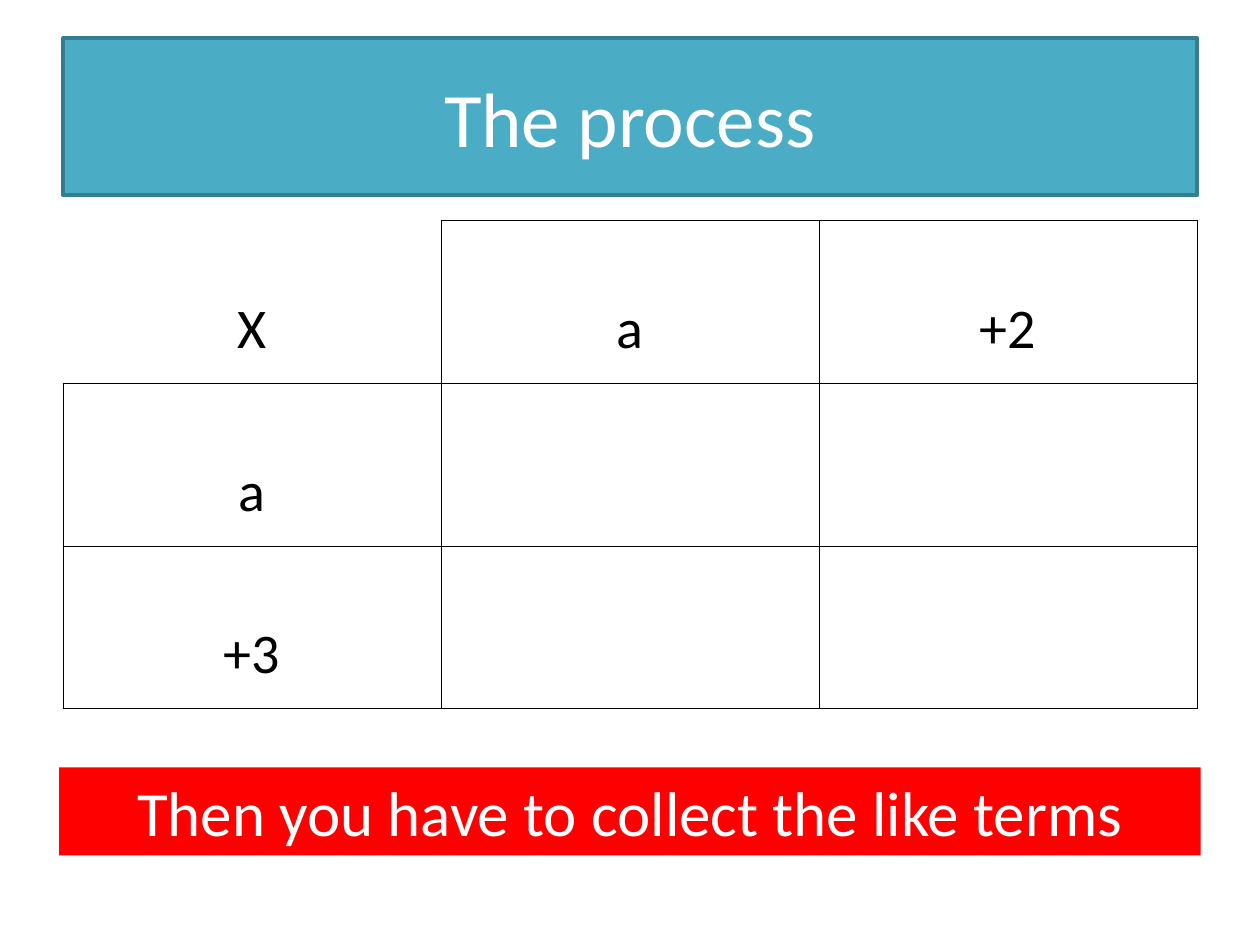
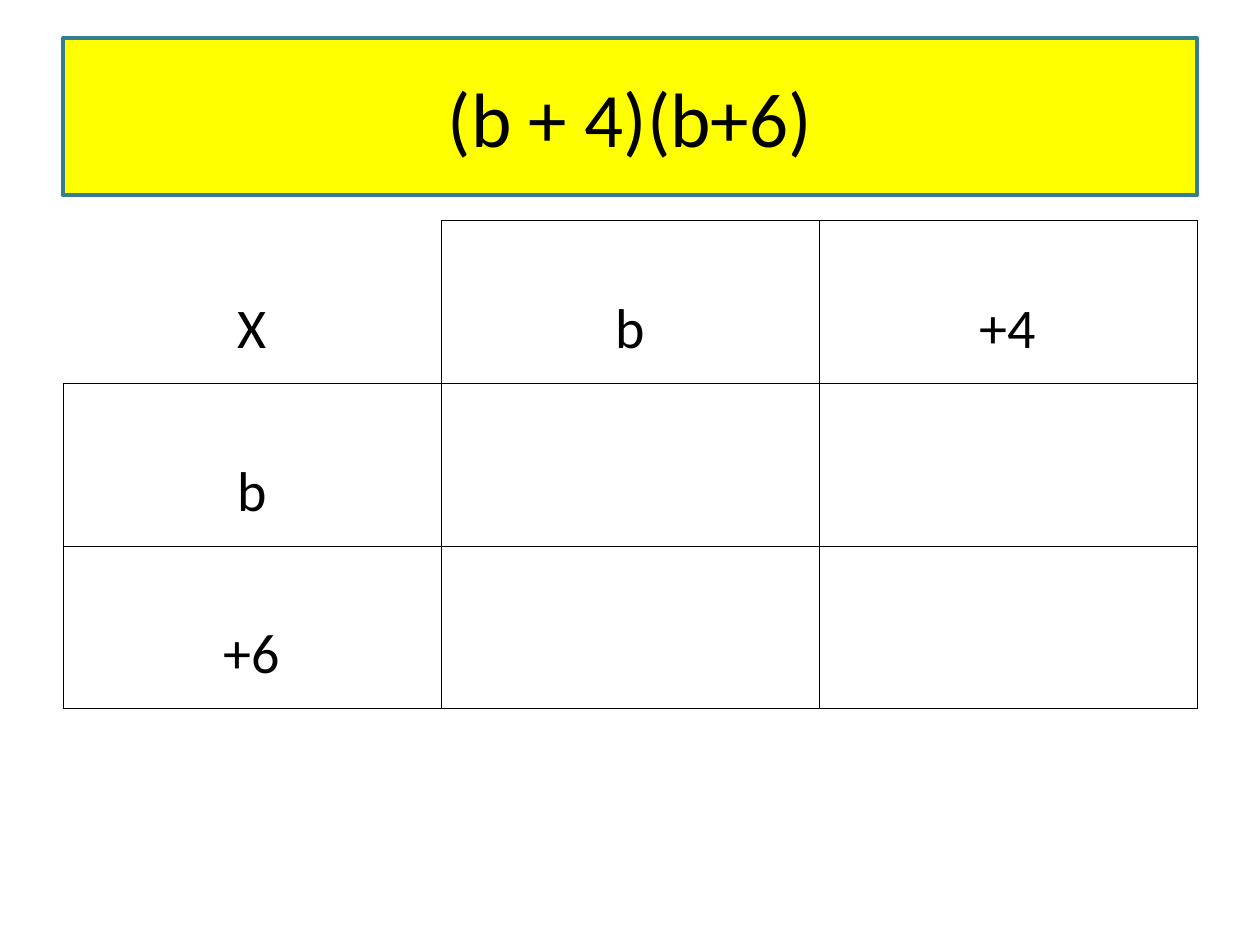
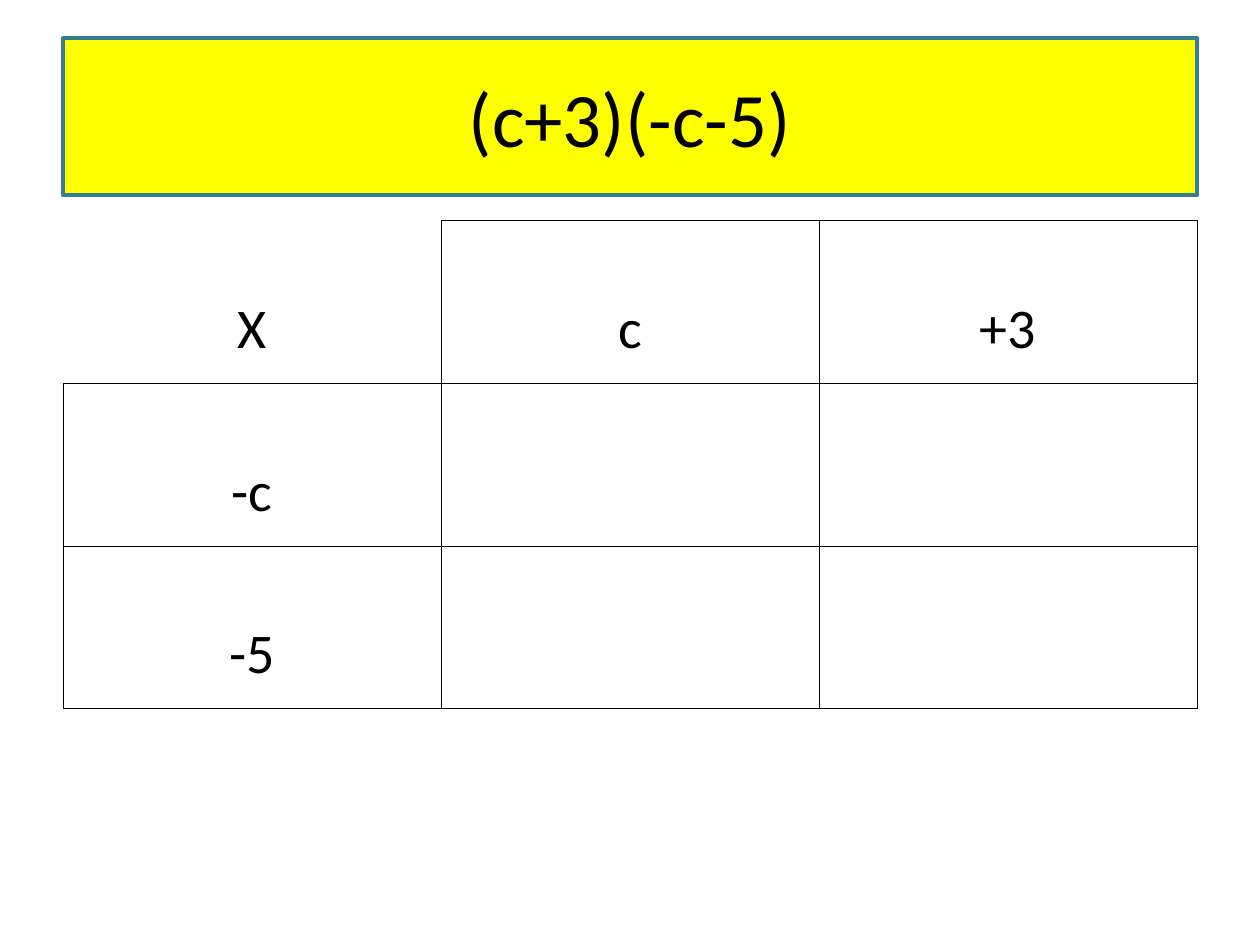
from pptx import Presentation
from pptx.dml.color import RGBColor
from pptx.enum.shapes import MSO_SHAPE
from pptx.enum.text import MSO_ANCHOR, PP_ALIGN
from pptx.oxml.ns import qn
from pptx.util import Pt
from lxml.etree import SubElement

COLORS = {
    "teal": "4BACC6",
    "teal_edge": "357D91",
    "yellow": "FFFF00",
    "red": "FF0000",
    "white": "FFFFFF",
    "black": "000000",
}
FONT = "Calibri"
TITLE_BOX = (36, 21.6, 648, 90)
GRID_BOX = (36, 126, 648, 279)
REMINDER_BOX = (33.84, 438.5, 652.32, 50.4)
GRID_SIZE = 3
RULE_WIDTH = 0.45

EXPANSIONS = [
    ("The process", "teal", "white", ["a", "+2"], ["a", "+3"],
     "Then you have to collect the like terms"),
    ("(b + 4)(b+6)", "yellow", "black", ["b", "+4"], ["b", "+6"], None),
    ("(c+3)(-c-5)", "yellow", "black", ["c", "+3"], ["-c", "-5"], None),
]


def rgb(name):
    return RGBColor.from_string(COLORS[name])


def write(text_frame, text, size, color):
    text_frame.text = text
    paragraph = text_frame.paragraphs[0]
    paragraph.alignment = PP_ALIGN.CENTER
    paragraph.font.size = Pt(size)
    for run in paragraph.runs:
        run.font.name = FONT
        run.font.size = Pt(size)
        run.font.color.rgb = rgb(color)


def add_band(slide, box, text, size, fill, color, edge=None):
    band = slide.shapes.add_shape(MSO_SHAPE.RECTANGLE, *map(Pt, box))
    band.shadow.inherit = False
    band.fill.solid()
    band.fill.fore_color.rgb = rgb(fill)
    if edge:
        band.line.color.rgb = rgb(edge)
        band.line.width = Pt(2)
    else:
        band.line.fill.background()
    band.text_frame.word_wrap = True
    band.text_frame.vertical_anchor = MSO_ANCHOR.MIDDLE
    write(band.text_frame, text, size, color)


def rule_cell(cell, hidden_sides):
    properties = cell._tc.get_or_add_tcPr()
    for side in ("lnL", "lnR", "lnT", "lnB"):
        rule = SubElement(properties, qn(f"a:{side}"), w=str(Pt(RULE_WIDTH)))
        if side in hidden_sides:
            SubElement(rule, qn("a:noFill"))
        else:
            ink = SubElement(rule, qn("a:solidFill"))
            SubElement(ink, qn("a:srgbClr"), val=COLORS["black"])


def add_multiplication_grid(slide, box, across, down):
    grid = slide.shapes.add_table(GRID_SIZE, GRID_SIZE, *map(Pt, box)).table
    grid.first_row = False
    grid.horz_banding = False
    _, _, width, height = box
    for column in grid.columns:
        column.width = Pt(width / GRID_SIZE)
    for row in grid.rows:
        row.height = Pt(height / GRID_SIZE)

    terms = [["X", *across]] + [[term, "", ""] for term in down]
    for r, row_terms in enumerate(terms):
        for c, term in enumerate(row_terms):
            cell = grid.cell(r, c)
            cell.margin_top = Pt(42.6)
            cell.margin_bottom = Pt(3.6)
            write(cell.text_frame, term, 32, "black")
            rule_cell(cell, ("lnL", "lnT") if r == c == 0 else ())
            cell.fill.background()


def add_expansion_slide(deck, title, fill, color, across, down, reminder):
    slide = deck.slides.add_slide(deck.slide_layouts[6])
    add_band(slide, TITLE_BOX, title, 44, fill, color, "teal_edge")
    add_multiplication_grid(slide, GRID_BOX, across, down)
    if reminder:
        add_band(slide, REMINDER_BOX, reminder, 36, "red", "white")


def main():
    deck = Presentation()
    deck.slide_width, deck.slide_height = Pt(720), Pt(540)
    for expansion in EXPANSIONS:
        add_expansion_slide(deck, *expansion)
    deck.save("out.pptx")


if __name__ == "__main__":
    main()
